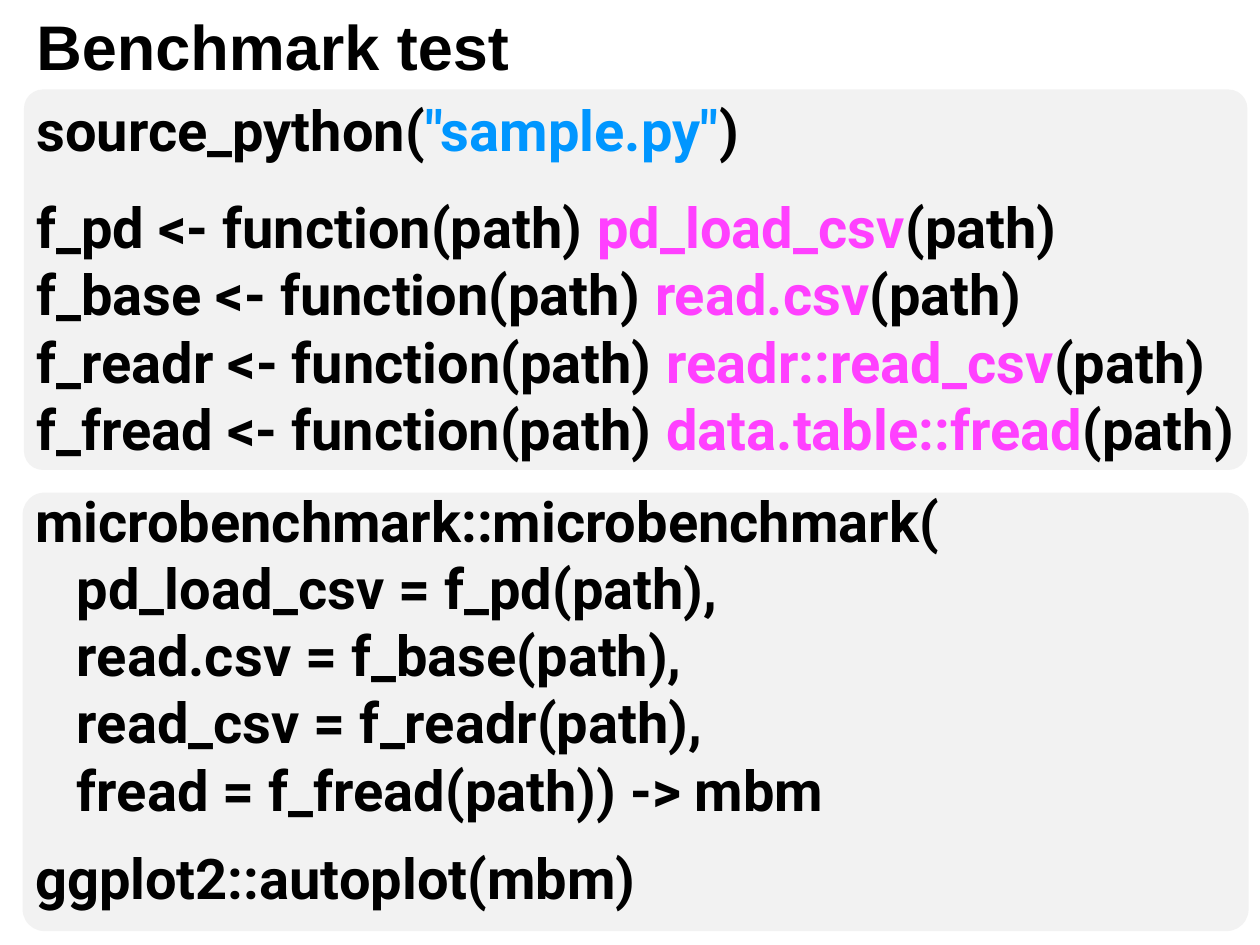
from pptx import Presentation
from pptx.dml.color import RGBColor
from pptx.enum.shapes import MSO_SHAPE as Shape
from pptx.util import Inches, Pt

BLACK, BLUE, PINK, GREY = "000000", "0096FF", "FF40FF", "F2F2F2"
READERS = [
    ("f_pd", "pd_load_csv"),
    ("f_base", "read.csv"),
    ("f_readr", "readr::read_csv"),
    ("f_fread", "data.table::fread"),
]
BENCHMARK = [
    "microbenchmark::microbenchmark(",
    "   pd_load_csv = f_pd(path),",
    "   read.csv = f_base(path),",
    "   read_csv = f_readr(path),",
    "   fread = f_fread(path)) -> mbm",
    "ggplot2::autoplot(mbm)",
]


def color(hex_code):
    """Turn a hex string into a colour."""
    return RGBColor.from_string(hex_code)


def add_panel(slide, left, top, width, height):
    """Add a rounded grey background for code."""
    panel = slide.shapes.add_shape(
        Shape.ROUNDED_RECTANGLE, Inches(left), Inches(top), Inches(width), Inches(height)
    )
    panel.adjustments[0] = 0.05
    panel.shadow.inherit = False
    panel.fill.solid()
    panel.fill.fore_color.rgb = color(GREY)
    panel.line.fill.background()


def add_text(slide, left, top, width, height, lines, size=32, font="Roboto", wrap=True):
    """Add bold lines, each a list of (text, colour) runs, and return the paragraphs."""
    box = slide.shapes.add_textbox(Inches(left), Inches(top), Inches(width), Inches(height))
    frame = box.text_frame
    frame.word_wrap = wrap
    for index, runs in enumerate(lines):
        paragraph = frame.add_paragraph() if index else frame.paragraphs[0]
        for text, hex_code in runs:
            run = paragraph.add_run()
            run.text = text
            run.font.name = font
            run.font.size = Pt(size)
            run.font.bold = True
            run.font.color.rgb = color(hex_code)
    return frame.paragraphs


def main():
    """Build the benchmark slide."""
    presentation = Presentation()
    presentation.slide_width, presentation.slide_height = Inches(10), Inches(7.5)
    slide = presentation.slides.add_slide(presentation.slide_layouts[6])

    add_panel(slide, 0.18, 3.91, 9.73, 3.48)
    add_panel(slide, 0.19, 0.71, 9.71, 3.02)

    source_line = [("source_python(", BLACK), ('"sample.py"', BLUE), (")", BLACK)]
    add_text(slide, 0.19, 0.71, 9.71, 0.64, [source_line])

    definitions = [
        [(f"{name} <- function(path) ", BLACK), (reader, PINK), ("(path)", BLACK)]
        for name, reader in READERS
    ]
    add_text(slide, 0.19, 1.48, 9.81, 2.26, definitions)

    benchmark_lines = [[(line, BLACK)] for line in BENCHMARK]
    paragraphs = add_text(slide, 0.18, 3.81, 8.21, 3.5, benchmark_lines)
    paragraphs[-1].space_before = Pt(12)

    title = [("Benchmark test", BLACK)]
    add_text(slide, 0.19, 0.01, 3.99, 0.71, [title], size=36, font="Arial", wrap=False)

    presentation.save("out.pptx")


if __name__ == "__main__":
    main()
